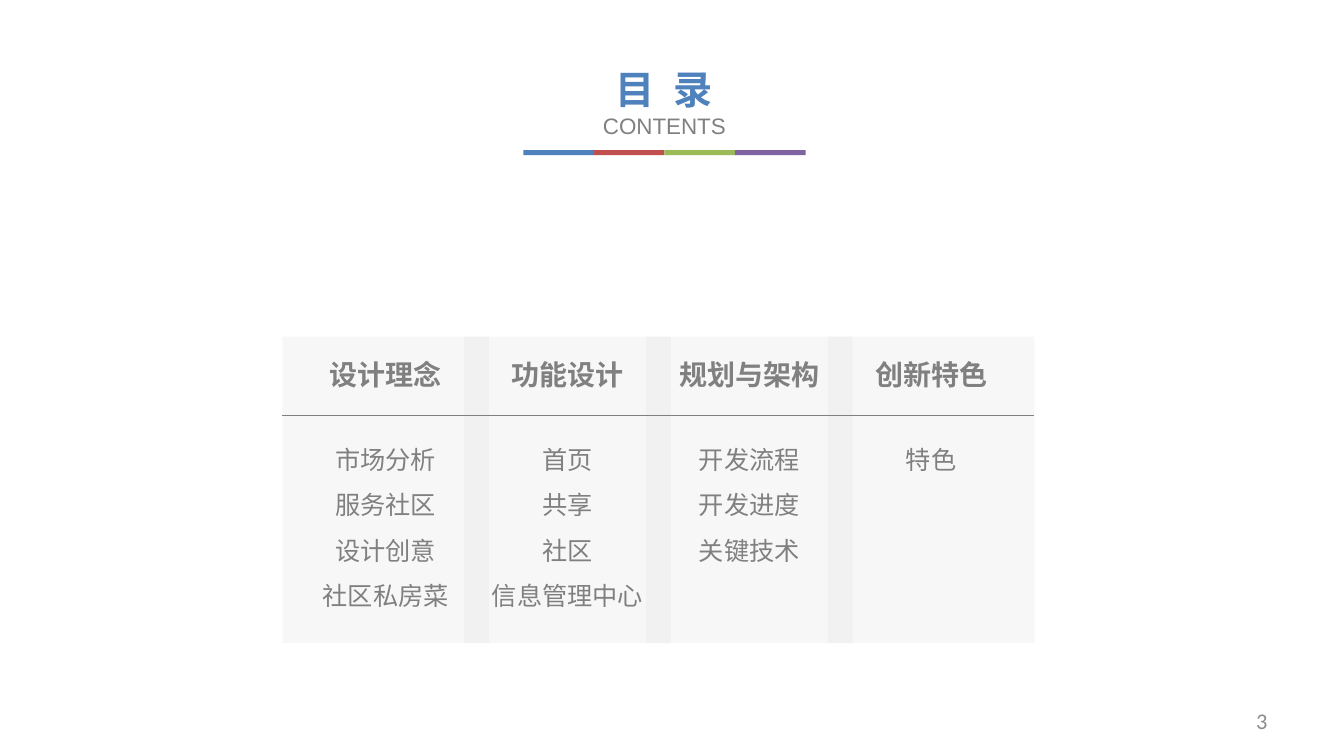
from lxml import etree
from pptx import Presentation
from pptx.dml.color import RGBColor
from pptx.enum.shapes import MSO_CONNECTOR, MSO_SHAPE
from pptx.enum.text import MSO_ANCHOR, PP_ALIGN
from pptx.oxml.ns import qn
from pptx.util import Inches, Pt

RECTANGLE = MSO_SHAPE.RECTANGLE
STRAIGHT = MSO_CONNECTOR.STRAIGHT
TOP, MIDDLE = MSO_ANCHOR.TOP, MSO_ANCHOR.MIDDLE
CENTER, RIGHT = PP_ALIGN.CENTER, PP_ALIGN.RIGHT

CHINESE_FONT = "Noto Sans CJK SC"
GRAY = "808080"
STRIPE_COLORS = ["4F81BD", "C0504D", "9BBB59", "8064A2"]
CHAPTERS = [
    ("设计理念", ["市场分析", "服务社区", "设计创意", "社区私房菜"]),
    ("功能设计", ["首页", "共享", "社区", "信息管理中心"]),
    ("规划与架构", ["开发流程", "开发进度", "关键技术"]),
    ("创新特色", ["特色"]),
]


def color(hex_value):
    return RGBColor.from_string(hex_value)


def add_block(slide, left, top, width, height, fill, opacity=100):
    block = slide.shapes.add_shape(
        RECTANGLE, Inches(left), Inches(top), Inches(width), Inches(height))
    block.shadow.inherit = False
    block.fill.solid()
    block.fill.fore_color.rgb = color(fill)
    block.line.fill.background()
    if opacity < 100:
        tint = block.fill._xPr.find(qn("a:solidFill"))[0]
        etree.SubElement(tint, qn("a:alpha")).set("val", str(opacity * 1000))


def add_frame(slide, left, top, width, height, anchor=TOP):
    frame = slide.shapes.add_textbox(
        Inches(left), Inches(top), Inches(width), Inches(height)).text_frame
    frame.word_wrap = True
    frame.vertical_anchor = anchor
    return frame


def add_run(paragraph, text, size, font=CHINESE_FONT, hex_value=GRAY,
            bold=False, spacing=0):
    run = paragraph.add_run()
    run.text = text
    run.font.size = Pt(size)
    run.font.bold = bold
    run.font.color.rgb = color(hex_value)
    run.font.name = font
    properties = run._r.get_or_add_rPr()
    etree.SubElement(properties, qn("a:ea")).set("typeface", CHINESE_FONT)
    if spacing:
        properties.set("spc", str(spacing * 100))


def add_heading(slide, left, top, width):
    frame = add_frame(slide, left, top, width, 0.84)
    title = frame.paragraphs[0]
    title.alignment = CENTER
    for text, spacing in [("目", 0), (" ", 7), ("录", 0)]:
        add_run(title, text, 28, "Roboto Condensed", STRIPE_COLORS[0], True, spacing)
    subtitle = frame.add_paragraph()
    subtitle.alignment = CENTER
    add_run(subtitle, "CONTENTS", 16, "Arial")

    stripe_width = width / len(STRIPE_COLORS)
    for index, stripe_color in enumerate(STRIPE_COLORS):
        add_block(slide, left + index * stripe_width, top + 0.89,
                  stripe_width, 0.05, stripe_color)


def add_chapter(slide, left, top, width, height, name, topics):
    add_block(slide, left, top, width, height, "D9D9D9", 20)

    divider_y = Inches(top + 0.78)
    divider = slide.shapes.add_connector(
        STRAIGHT, Inches(left), divider_y, Inches(left + width), divider_y)
    divider.line.color.rgb = color(GRAY)
    divider.line.width = Pt(0.5)
    etree.SubElement(divider._element.spPr, qn("a:effectLst"))

    topic_frame = add_frame(slide, left, top + 0.87, width, 0.05 + 0.46 * len(topics))
    for index, topic in enumerate(topics):
        line = topic_frame.add_paragraph() if index else topic_frame.paragraphs[0]
        line.alignment = CENTER
        line.line_spacing = 1.5
        add_run(line, topic, 18)

    name_line = add_frame(slide, left, top + 0.16, width, 0.44).paragraphs[0]
    name_line.alignment = CENTER
    add_run(name_line, name, 20, bold=True)


def add_chapters(slide, left, top, width, height):
    card_width = 2.05
    pitch = (width - card_width) / (len(CHAPTERS) - 1)
    for index, (name, topics) in enumerate(CHAPTERS):
        add_chapter(slide, left + index * pitch, top, card_width, height, name, topics)


def add_page_number(slide, left, top, width, height):
    number = add_frame(slide, left, top, width, height, MIDDLE).paragraphs[0]
    number.alignment = RIGHT
    add_run(number, "3", 16, "Calibri", "8C8C8C")


def main():
    presentation = Presentation()
    presentation.slide_width = Inches(13.33)
    presentation.slide_height = Inches(7.5)
    slide = presentation.slides.add_slide(presentation.slide_layouts[6])
    add_page_number(slide, 9.56, 6.95, 3.11, 0.4)
    add_heading(slide, 5.19, 0.6, 2.8)
    add_chapters(slide, 2.8, 3.34, 7.46, 3.04)
    presentation.save("out.pptx")


if __name__ == "__main__":
    main()
